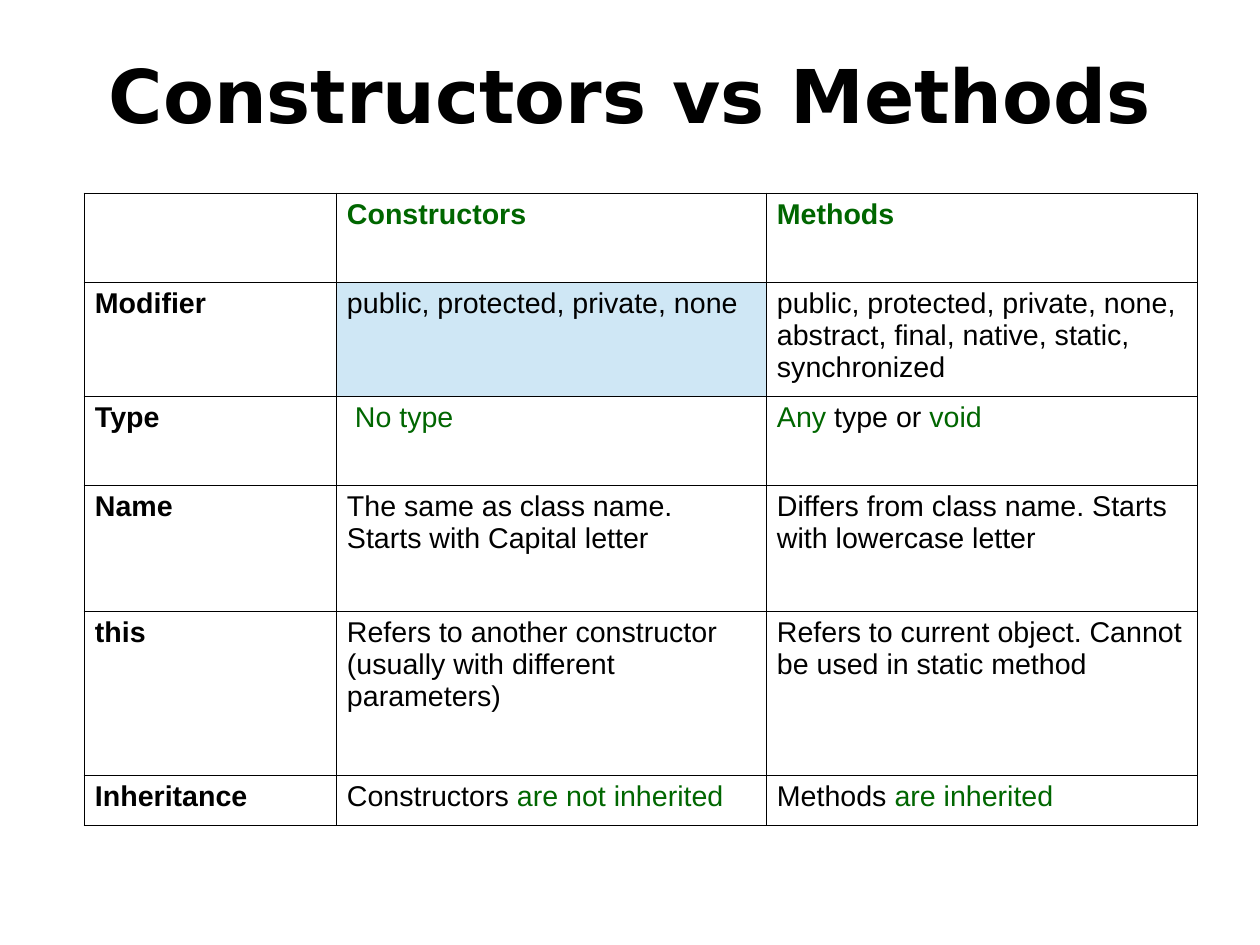
from dataclasses import dataclass

from lxml.etree import SubElement
from pptx import Presentation
from pptx.dml.color import RGBColor
from pptx.enum.text import MSO_ANCHOR, MSO_AUTO_SIZE, PP_ALIGN
from pptx.oxml.ns import qn
from pptx.util import Emu, Pt


@dataclass(frozen=True)
class Theme:
    ink: str = "000000"
    accent: str = "006600"
    paper: str = "FFFFFF"
    highlight: str = "CFE7F5"
    title_font: str = "DejaVu Sans"
    body_font: str = "Arial"
    title_size: float = 46.7
    body_size: float = 18
    border: float = 0.57


THEME = Theme()
PX = 8000
PAGE_SIZE = (1260, 945)
TITLE = "Constructors vs Methods"
TITLE_BOX = (63, 7, 1134, 173)
TABLE_ORIGIN = (84, 193)
COLUMN_WIDTHS = (252, 430, 431)
ROW_HEIGHTS = (89, 114, 89, 126, 164, 51)
CELL_MARGINS = (11, 6)
HIGHLIGHTED = (1, 1)

INK, ACCENT = THEME.ink, THEME.accent
HEADINGS = ("", "Constructors", "Methods")
COMPARISON = [
    ("Modifier",
     [[("public, protected, private, none", INK)]],
     [[("public, protected, private, none,", INK)],
      [("abstract, final, native, static, synchronized", INK)]]),
    ("Type",
     [[(" ", INK), ("No type", ACCENT)]],
     [[("Any", ACCENT), (" type or ", INK), ("void", ACCENT)]]),
    ("Name",
     [[("The same as class name. Starts with Capital letter", INK)]],
     [[("Differs from class name. Starts with lowercase letter", INK)]]),
    ("this",
     [[("Refers to another constructor (usually with different parameters)", INK)]],
     [[("Refers to current object. Cannot be used in static method", INK)]]),
    ("Inheritance",
     [[("Constructors ", INK), ("are not inherited", ACCENT)]],
     [[("Methods ", INK), ("are inherited", ACCENT)]]),
]


def px(length):
    return Emu(length * PX)


def add_span(para, text, color, font, size, bold):
    span = para.add_run()
    span.text = text
    span.font.name = font
    span.font.size = Pt(size)
    span.font.bold = bold
    span.font.color.rgb = RGBColor.from_string(color)


def add_title(page):
    title = page.shapes.title
    title.left, title.top, title.width, title.height = map(px, TITLE_BOX)
    frame = title.text_frame
    frame.margin_left = frame.margin_right = frame.margin_top = frame.margin_bottom = 0
    frame.word_wrap = True
    frame.auto_size = MSO_AUTO_SIZE.NONE
    frame.vertical_anchor = MSO_ANCHOR.MIDDLE
    para = frame.paragraphs[0]
    para.alignment = PP_ALIGN.CENTER
    add_span(para, TITLE, INK, THEME.title_font, THEME.title_size, True)


def draw_borders(cell):
    properties = cell._tc.get_or_add_tcPr()
    for side in ("a:lnL", "a:lnR", "a:lnT", "a:lnB"):
        line = SubElement(properties, qn(side), w=str(int(Pt(THEME.border))))
        fill = SubElement(line, qn("a:solidFill"))
        SubElement(fill, qn("a:srgbClr"), val=INK)


def fill_cell(cell, paragraphs, bold, background):
    draw_borders(cell)
    cell.fill.solid()
    cell.fill.fore_color.rgb = RGBColor.from_string(background)
    cell.margin_left = cell.margin_right = px(CELL_MARGINS[0])
    cell.margin_top = cell.margin_bottom = px(CELL_MARGINS[1])
    cell.vertical_anchor = MSO_ANCHOR.TOP
    frame = cell.text_frame
    for index, spans in enumerate(paragraphs):
        para = frame.add_paragraph() if index else frame.paragraphs[0]
        for text, color in spans:
            add_span(para, text, color, THEME.body_font, THEME.body_size, bold)


def add_comparison(page):
    rows = [[[[(text, ACCENT)]] if text else [] for text in HEADINGS]]
    rows += [[[[(label, INK)]], *cells] for label, *cells in COMPARISON]
    size = (sum(COLUMN_WIDTHS), sum(ROW_HEIGHTS))
    table = page.shapes.add_table(
        len(rows), len(HEADINGS), *map(px, TABLE_ORIGIN + size)).table
    table.first_row = table.horz_banding = False
    for column, width in zip(table.columns, COLUMN_WIDTHS):
        column.width = px(width)
    for row, height in zip(table.rows, ROW_HEIGHTS):
        row.height = px(height)
    for r, row in enumerate(rows):
        for c, paragraphs in enumerate(row):
            background = THEME.highlight if (r, c) == HIGHLIGHTED else THEME.paper
            fill_cell(table.cell(r, c), paragraphs, r == 0 or c == 0, background)


def main():
    deck = Presentation()
    deck.slide_width, deck.slide_height = map(px, PAGE_SIZE)
    page = deck.slides.add_slide(deck.slide_layouts[5])
    add_title(page)
    add_comparison(page)
    deck.save("out.pptx")


if __name__ == "__main__":
    main()
